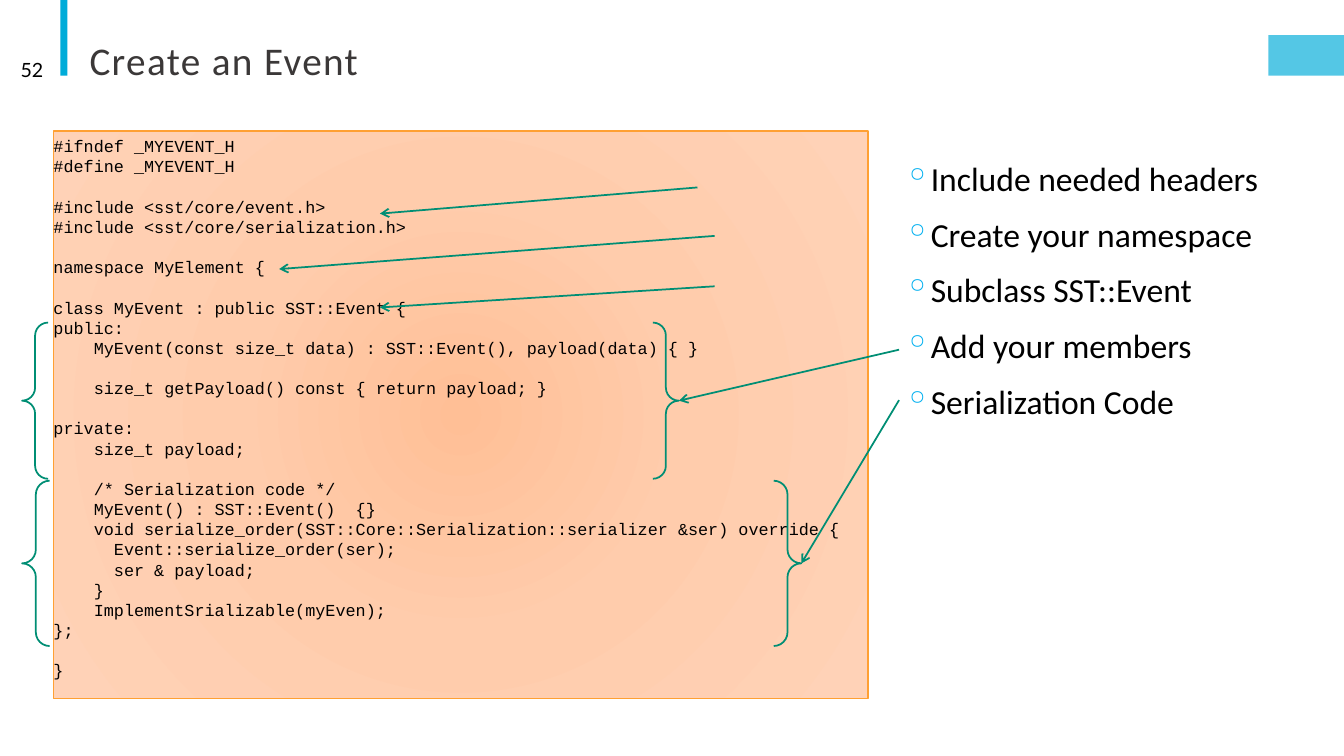
"""Build the "Create an Event" slide: annotated C++ code beside a list of steps."""
from lxml import etree
from pptx import Presentation
from pptx.dml.color import RGBColor
from pptx.enum.shapes import MSO_CONNECTOR as CONN, MSO_SHAPE as SHAPE
from pptx.enum.text import MSO_ANCHOR as ANCHOR, PP_ALIGN as ALIGN
from pptx.oxml import parse_xml
from pptx.oxml.ns import nsdecls, qn
from pptx.util import Pt

CYAN = RGBColor(0x00, 0xAC, 0xD9)
BULLET = RGBColor(0x00, 0xB0, 0xF0)
GREEN = RGBColor(0x00, 0x8E, 0x74)
ORANGE = RGBColor(0xFF, 0xA0, 0x33)
GRAY = RGBColor(0x3B, 0x38, 0x38)
BLACK = RGBColor(0, 0, 0)
CODE_STOPS = [(0, RGBColor(0xFF, 0xBF, 0x96)), (45, RGBColor(0xFF, 0xCC, 0xAC)),
              (100, RGBColor(0xFF, 0xD2, 0xB7))]

TITLE = "Create an Event"
PAGE = "52"
STEPS = ["Include needed headers", "Create your namespace", "Subclass SST::Event",
         "Add your members", "Serialization Code"]
CODE = """#ifndef _MYEVENT_H
#define _MYEVENT_H

#include <sst/core/event.h>
#include <sst/core/serialization.h>

namespace MyElement {

class MyEvent : public SST::Event {
public:
    MyEvent(const size_t data) : SST::Event(), payload(data) { }

    size_t getPayload() const { return payload; }

private:
    size_t payload;

    /* Serialization code */
    MyEvent() : SST::Event()  {}
    void serialize_order(SST::Core::Serialization::serializer &ser) override {
      Event::serialize_order(ser);
      ser & payload;
    }
    ImplementSrializable(myEven);
};

}"""
CODE_BOX = (38.2, 93.6, 581.8, 405.4)
CODE_ARROWS = [((498.2, 133.9), (271.4, 152.6)),
               ((510.5, 168.5), (199.4, 192.2)),
               ((510.5, 204.5), (271.4, 219.6))]
BRACES = [((15.8, 343.4, 556.6, 118.1), (642.2, 285.8)),
          ((15.8, 230.4, 469.2, 111.6), (642.2, 249.8))]


def add_shape(kind, box, fill=None):
    sp = slide.shapes.add_shape(kind, *map(Pt, box))
    sp.shadow.inherit = False
    sp.line.fill.background()
    if fill is None:
        sp.fill.background()
    else:
        sp.fill.solid()
        sp.fill.fore_color.rgb = fill
    return sp


def set_text(sp, text, size, font, color, anchor=ANCHOR.TOP, side=7.2):
    tf = sp.text_frame
    tf.word_wrap = True
    tf.vertical_anchor = anchor
    tf.margin_left = tf.margin_right = Pt(side)
    tf.margin_top = tf.margin_bottom = Pt(3.6)
    tf.text = text
    for p in tf.paragraphs:
        p.alignment = ALIGN.LEFT
        for r in p.runs:
            r.font.size, r.font.name = Pt(size), font
            r.font.color.rgb = color
    return tf


def add_text(box, *args, **kwargs):
    return set_text(slide.shapes.add_textbox(*map(Pt, box)), *args, **kwargs)


def add_bullet(p):
    pPr = p._p.get_or_add_pPr()
    pPr.set("marL", str(Pt(7.2)))
    pPr.set("indent", str(Pt(-14.4)))
    color = etree.SubElement(pPr, qn("a:buClr"))
    etree.SubElement(color, qn("a:srgbClr")).set("val", str(BULLET))
    etree.SubElement(pPr, qn("a:buChar")).set("char", "◦")


def fill_radial(sp, stops):
    gs = "".join(f'<a:gs pos="{pos * 1000}"><a:srgbClr val="{rgb}"/></a:gs>'
                 for pos, rgb in stops)
    grad = parse_xml(
        f'<a:gradFill {nsdecls("a")} rotWithShape="1"><a:gsLst>{gs}</a:gsLst>'
        '<a:path path="circle"><a:fillToRect l="100000" t="100000" r="100000" b="100000"/>'
        '</a:path></a:gradFill>')
    spPr = sp._element.spPr
    spPr.replace(spPr.find(qn("a:noFill")), grad)


def set_line(item, color, width):
    item.line.color.rgb = color
    item.line.width = Pt(width)


def add_arrow(start, end):
    cx = slide.shapes.add_connector(CONN.STRAIGHT, *map(Pt, start + end))
    set_line(cx, GREEN, 1.25)
    etree.SubElement(cx.line._get_or_add_ln(), qn("a:tailEnd")).set("type", "arrow")
    etree.SubElement(cx._element.spPr, qn("a:effectLst"))
    return cx


prs = Presentation()
prs.slide_width, prs.slide_height = Pt(960), Pt(540)
slide = prs.slides.add_slide(prs.slide_layouts[6])

add_shape(SHAPE.RECTANGLE, (43.2, 0, 5, 54), CYAN)
tab = add_shape(SHAPE.RECTANGLE, (906, 25.2, 54, 28.8), CYAN)
tab_color = tab._element.spPr.find(qn("a:solidFill"))[0]
etree.SubElement(tab_color, qn("a:alpha")).set("val", "67000")

title = add_text((56.9, 18.7, 792, 44.6), TITLE, 28, "Calibri", GRAY, ANCHOR.BOTTOM)
title.paragraphs[0].line_spacing = 0.85
title.paragraphs[0].runs[0].font._element.set("spc", "100")
page = add_text((5, 35.3, 33.1, 28.8), PAGE, 14, "Lato", BLACK, ANCHOR.MIDDLE)
page.paragraphs[0].alignment = ALIGN.RIGHT

steps = add_text((645.8, 112.3, 260.6, 367.2), "\n".join(STEPS), 24, "Calibri", BLACK, side=0)
for i, p in enumerate(steps.paragraphs):
    add_bullet(p)
    p.line_spacing = 0.9
    p.space_before = Pt(12 if i else 0)
    p.space_after = Pt(2)

code_box = add_shape(SHAPE.RECTANGLE, CODE_BOX)
fill_radial(code_box, CODE_STOPS)
set_line(code_box, ORANGE, 1)
code = set_text(code_box, CODE, 12, "Courier New", BLACK, side=0)
for p in code.paragraphs:
    p.line_spacing = Pt(14.4)

for start, end in CODE_ARROWS:
    add_arrow(start, end)
for box, start in BRACES:
    brace = add_shape(SHAPE.DOUBLE_BRACE, box)
    set_line(brace, GREEN, 1.25)
    left, top, width, height = box
    add_arrow(start, (left + width, top + height / 2)).end_connect(brace, 3)

prs.save("out.pptx")
